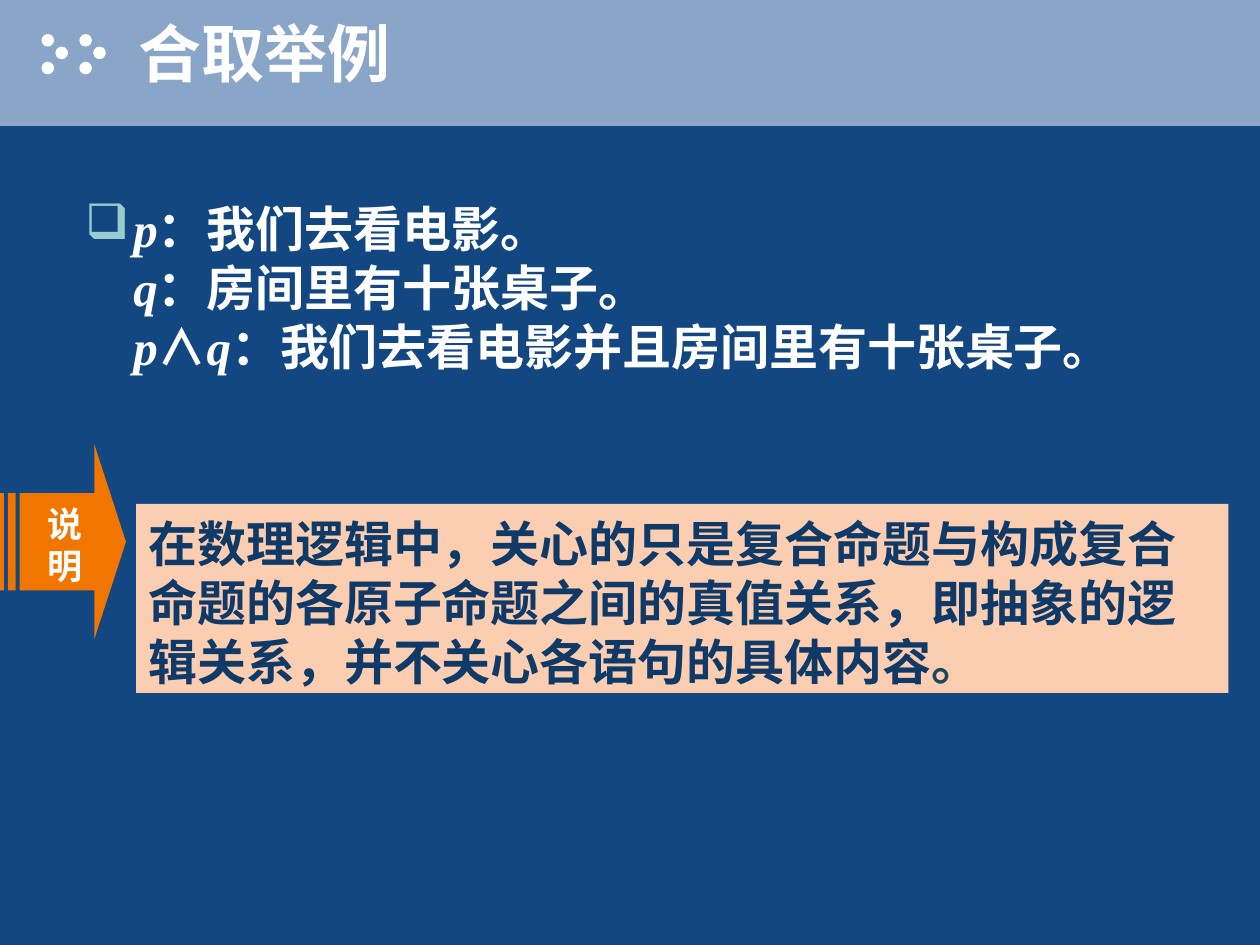
import pptx
import pptx.util
import pptx.dml.color
import pptx.enum.shapes
import pptx.enum.text
import pptx.oxml
import pptx.oxml.ns
from lxml import etree

Inches = pptx.util.Inches
Pt = pptx.util.Pt
RGBColor = pptx.dml.color.RGBColor
SHAPE = pptx.enum.shapes.MSO_SHAPE
ANCHOR = pptx.enum.text.MSO_ANCHOR
ALIGN = pptx.enum.text.PP_ALIGN
qn = pptx.oxml.ns.qn

NAVY = RGBColor(0x13, 0x47, 0x81)
BAND = RGBColor(0x89, 0xA5, 0xC7)
WHITE = RGBColor(0xFF, 0xFF, 0xFF)
PEACH = RGBColor(0xFC, 0xCE, 0xB1)
ORANGE = RGBColor(0xF0, 0x76, 0x00)
INK = RGBColor(0x0F, 0x3A, 0x68)
INK_END = RGBColor(0x20, 0x46, 0x58)
AQUA = RGBColor(0x99, 0xCC, 0xCC)

CJK = "Noto Sans CJK SC"
SYMBOL = {"font": "Times New Roman", "italic": True}

TITLE = [("合取举例", {})]
EXAMPLES = [
    [("p", SYMBOL), ("：我们去看电影。", {})],
    [("q", SYMBOL), ("：房间里有十张桌子。", {})],
    [("p", SYMBOL), ("∧", {}), ("q", SYMBOL),
     ("：我们去看电影并且房间里有十张桌子。", {})],
]
NOTE = [
    ("在数理逻辑中，关心的只是复合命题与构成复合命题的各原子命题之间的真值关系，"
     "即抽象的逻辑关系，并不关心各语句的具体内容", {}),
    ("。", {"color": INK_END}),
]
NOTE_LABEL = [("说明", {"font": "Arial"})]

DOT_SIZE = 0.1
DOT_GROUP_LEFTS = (0.33, 0.63)
DOT_OFFSETS = ((0, 0.27), (0.11, 0.37), (0, 0.49))


def add_block(slide, kind, box, fill):
    block = slide.shapes.add_shape(kind, *map(Inches, box))
    block.shadow.inherit = False
    block.fill.solid()
    block.fill.fore_color.rgb = fill
    block.line.fill.background()
    return block


def write(frame, lines, size, color=WHITE, pitch=None, top=0.05,
          anchor=ANCHOR.TOP, align=ALIGN.LEFT):
    frame.word_wrap = True
    frame.vertical_anchor = anchor
    frame.margin_left = frame.margin_right = Inches(0.1)
    frame.margin_top, frame.margin_bottom = Inches(top), Inches(0.05)
    paragraph = frame.paragraphs[0]
    paragraph.alignment = align
    if pitch:
        paragraph.line_spacing = Pt(pitch)
    for index, line in enumerate(lines):
        if index:
            paragraph.add_line_break()
        for text, style in line:
            run = paragraph.add_run()
            run.text = text
            font = run.font
            font.name = style.get("font", CJK)
            font.size, font.bold = Pt(size), True
            font.italic = style.get("italic", False)
            font.color.rgb = style.get("color", color)
            east_asian = etree.SubElement(font._element, qn("a:ea"))
            east_asian.set("typeface", CJK)
    return paragraph


def add_text_shadow(paragraph):
    for run in paragraph.runs:
        effects = pptx.oxml.parse_xml(
            '<a:effectLst xmlns:a="http://schemas.openxmlformats.org/drawingml/2006/main">'
            '<a:outerShdw dist="35921" dir="2700000"><a:srgbClr val="000000"/>'
            '</a:outerShdw></a:effectLst>')
        run.font._element.find(qn("a:solidFill")).addnext(effects)


def add_bullet(paragraph, character, color, indent):
    properties = paragraph._p.get_or_add_pPr()
    properties.set("marL", str(Inches(indent)))
    properties.set("indent", str(-Inches(indent)))
    bullet_color = etree.SubElement(properties, qn("a:buClr"))
    etree.SubElement(bullet_color, qn("a:srgbClr")).set("val", str(color))
    etree.SubElement(properties, qn("a:buChar")).set("char", character)


def main():
    deck = pptx.Presentation()
    deck.slide_width, deck.slide_height = Inches(10), Inches(7.5)
    slide = deck.slides.add_slide(deck.slide_layouts[6])
    slide.background.fill.solid()
    slide.background.fill.fore_color.rgb = NAVY

    add_block(slide, SHAPE.RECTANGLE, (0, 0, 10, 1), BAND)
    for left in DOT_GROUP_LEFTS:
        for dx, top in DOT_OFFSETS:
            add_block(slide, SHAPE.OVAL, (left + dx, top, DOT_SIZE, DOT_SIZE), WHITE)

    title = slide.shapes.add_textbox(*map(Inches, (1, 0, 9, 0.83)))
    heading = write(title.text_frame, [TITLE], 36, anchor=ANCHOR.MIDDLE)
    add_text_shadow(heading)

    examples = slide.shapes.add_textbox(*map(Inches, (0.58, 1.5, 8.67, 2)))
    propositions = write(examples.text_frame, EXAMPLES, 28, pitch=33.5, top=0.08)
    add_bullet(propositions, "❑", AQUA, 0.38)

    note = add_block(slide, SHAPE.RECTANGLE, (1.08, 4, 8.67, 1.5), PEACH)
    write(note.text_frame, [NOTE], 28, color=INK, pitch=33.5, top=0.08)

    arrow = add_block(slide, SHAPE.STRIPED_RIGHT_ARROW, (0, 3.53, 1, 1.54), ORANGE)
    arrow.adjustments[0] = 0.5
    arrow.adjustments[1] = 0.25
    write(arrow.text_frame, [NOTE_LABEL], 20, pitch=23.5, top=0.1,
          anchor=ANCHOR.MIDDLE, align=ALIGN.CENTER)

    deck.save("out.pptx")


if __name__ == "__main__":
    main()
